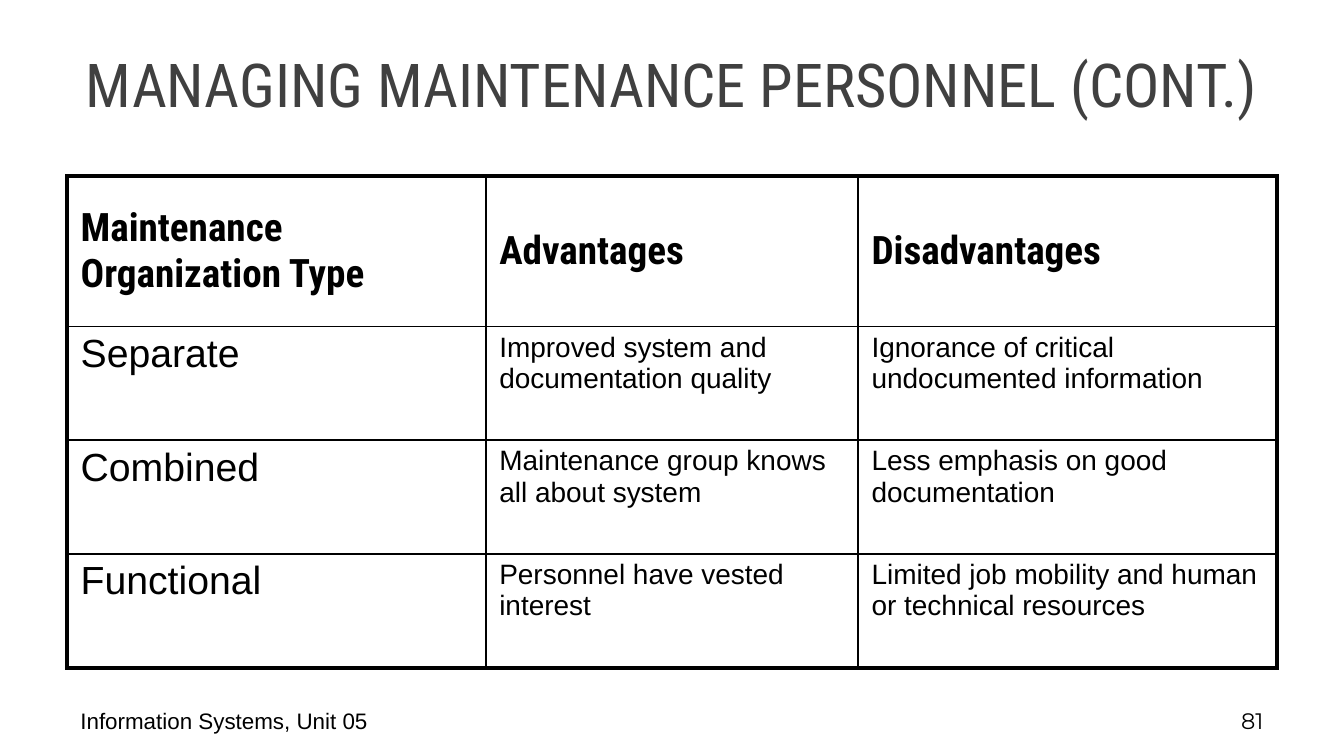
import pptx
import pptx.util
import pptx.dml.color
import pptx.enum.text
import pptx.oxml
import pptx.oxml.ns
from dataclasses import dataclass

Inches, Pt = pptx.util.Inches, pptx.util.Pt
Align, Anchor = pptx.enum.text.PP_ALIGN, pptx.enum.text.MSO_ANCHOR


@dataclass(frozen=True)
class Theme:
    ink: str = "000000"
    title_ink: str = "404040"
    heading_font: str = "Roboto Condensed"
    body_font: str = "Arial"
    number_font: str = "Montserrat"
    title_size: float = 32.4
    label_size: float = 21
    body_size: float = 15
    footer_size: float = 12
    thin: float = 1
    thick: float = 2.25


theme = Theme()


def write(frame, text, font, size, color=theme.ink, bold=False, align=Align.LEFT):
    frame.word_wrap = True
    paragraph = frame.paragraphs[0]
    paragraph.text = text
    paragraph.alignment = align
    paragraph.font.name = font
    paragraph.font.size = Pt(size)
    paragraph.font.bold = bold
    paragraph.font.color.rgb = pptx.dml.color.RGBColor.from_string(color)


def add_borders(cell, widths):
    """Draw the cell's edges; widths are points for left, right, top, bottom."""
    properties = cell._tc.get_or_add_tcPr()
    for position, (edge, width) in enumerate(zip("LRTB", widths)):
        line = pptx.oxml.parse_xml(
            f'<a:ln{edge} {pptx.oxml.ns.nsdecls("a")} w="{Pt(width)}">'
            f'<a:solidFill><a:srgbClr val="{theme.ink}"/></a:solidFill></a:ln{edge}>'
        )
        properties.insert(position, line)


deck = pptx.Presentation()
deck.slide_width = Inches(10)
deck.slide_height = deck.slide_width * 9 // 16
slide = deck.slides.add_slide(deck.slide_layouts[5])

margin = Inches(0.5)
content_width = deck.slide_width - 2 * margin

# Title
title = slide.shapes.title
title.left, title.top = margin, Inches(0.15)
title.width, title.height = content_width, Inches(0.94)
title.text_frame.auto_size = pptx.enum.text.MSO_AUTO_SIZE.NONE
title.text_frame.vertical_anchor = Anchor.MIDDLE
write(title.text_frame, "MANAGING MAINTENANCE PERSONNEL (CONT.)", theme.heading_font,
      theme.title_size, theme.title_ink, align=Align.CENTER)

# Comparison of organization types
organization_types = [
    ("Maintenance Organization Type", "Advantages", "Disadvantages"),
    ("Separate", "Improved system and documentation quality",
     "Ignorance of critical undocumented information"),
    ("Combined", "Maintenance group knows all about system",
     "Less emphasis on good documentation"),
    ("Functional", "Personnel have vested interest",
     "Limited job mobility and human or technical resources"),
]
row_count, column_count = len(organization_types), len(organization_types[0])
table_height, header_height = Inches(3.66), Inches(1.12)
comparison = slide.shapes.add_table(row_count, column_count, margin, Inches(1.31),
                                    content_width, table_height).table
comparison.first_row = comparison.horz_banding = False

middle_width = Inches(2.77)
for column, grid_column in enumerate(comparison.columns):
    grid_column.width = middle_width if column == 1 else (content_width - middle_width) // 2
for row, grid_row in enumerate(comparison.rows):
    grid_row.height = (header_height if row == 0
                       else (table_height - header_height) // (row_count - 1))

for row, entries in enumerate(organization_types):
    for column, entry in enumerate(entries):
        cell = comparison.cell(row, column)
        is_header = row == 0
        cell.fill.background()
        cell.margin_left = cell.margin_right = Inches(0.1)
        cell.margin_top = cell.margin_bottom = Inches(0.04)
        cell.vertical_anchor = Anchor.MIDDLE if is_header else Anchor.TOP
        write(cell.text_frame, entry,
              theme.heading_font if is_header else theme.body_font,
              theme.label_size if is_header or column == 0 else theme.body_size,
              bold=is_header)
        outer_edges = (column == 0, column == column_count - 1, row == 0, row == row_count - 1)
        add_borders(cell, [theme.thick if outer else theme.thin for outer in outer_edges])

# Footer
course_width, number_width = Inches(2.92), Inches(2.33)
for text, left, width, font, align in [
    ("Information Systems, Unit 05", margin, course_width, theme.body_font, Align.LEFT),
    ("81", margin + content_width - number_width, number_width, theme.number_font, Align.RIGHT),
]:
    footer = slide.shapes.add_textbox(left, Inches(5.21), width, Inches(0.3)).text_frame
    footer.vertical_anchor = Anchor.MIDDLE
    write(footer, text, font, theme.footer_size, align=align)

deck.save("out.pptx")
